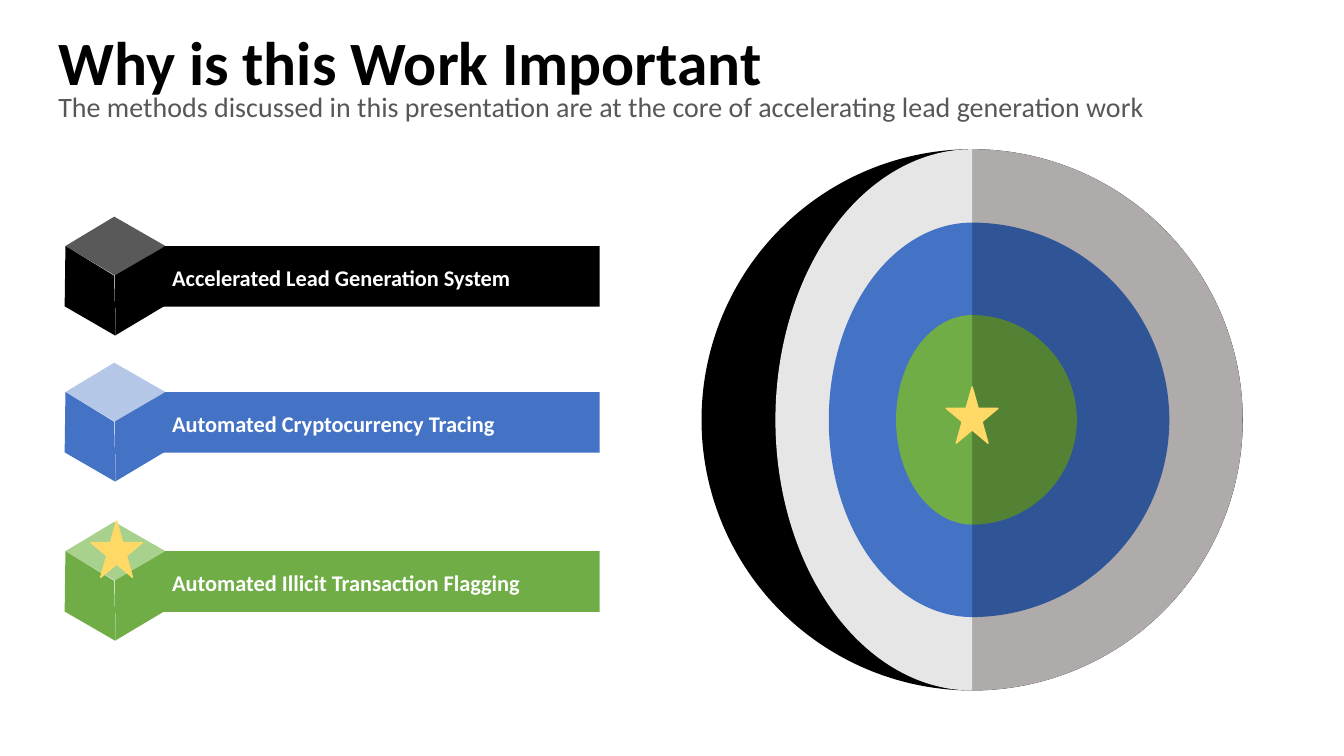
from dataclasses import dataclass

from lxml import etree
from pptx import Presentation
from pptx.dml import color
from pptx.enum import shapes, text
from pptx.oxml import ns
from pptx.util import Cm, Pt


@dataclass(frozen=True)
class Theme:
    font: str = "Calibri"
    title_size: int = 44
    subtitle_size: int = 20
    label_size: int = 16
    black: str = "000000"
    white: str = "FFFFFF"
    subtitle: str = "575757"
    charcoal: str = "595959"
    light_gray: str = "E7E6E6"
    gray: str = "AFABAB"
    blue: str = "4472C4"
    light_blue: str = "B4C7E7"
    dark_blue: str = "2F5597"
    green: str = "70AD47"
    light_green: str = "A9D18E"
    dark_green: str = "548235"
    gold: str = "FFD966"


THEME = Theme()

# Label, bar top in cm, colour of bar and cube sides, colour of cube top
LAYERS = [
    ("Accelerated Lead Generation System", 6.2, THEME.black, THEME.charcoal),
    ("Automated Cryptocurrency Tracing", 9.88, THEME.blue, THEME.light_blue),
    ("Automated Illicit Transaction Flagging", 13.89, THEME.green, THEME.light_green),
]
# Radius in cm, colour of the cut face (left), colour of the outer side (right)
RINGS = [
    (6.82, THEME.light_gray, THEME.gray),
    (4.97, THEME.blue, THEME.dark_blue),
    (2.64, THEME.green, THEME.dark_green),
]
GLOBE_X, GLOBE_Y = 24.5, 10.58
CUT_FACE_RATIO = 0.727
# Arc adjustments for straight down and straight up
DOWN, UP = 54, 162

CUBE_LEFT = 1.63
# Corners in cm from the cube's left edge and the bar's top
CUBE_TOP = [(0.02, 0), (1.25, -0.74), (2.54, 0), (1.28, 0.75)]
CUBE_RIGHT = [(1.27, 0.74), (1.28, 2.25), (2.52, 1.51), (2.54, 0)]
CUBE_LEFT_SIDE = [(0, 1.52), (0.02, 0), (1.25, 0.75), (1.28, 2.26)]


def paint(shape, fill, line=None):
    shape.shadow.inherit = False
    shape.fill.solid()
    shape.fill.fore_color.rgb = color.RGBColor.from_string(fill)
    if line:
        shape.line.color.rgb = color.RGBColor.from_string(line)
        shape.line.width = Pt(1)
    else:
        shape.line.fill.background()


def write(shape, words, *, size, ink, bold=False, spacing=0.9, inset=0.0,
          anchor=text.MSO_ANCHOR.TOP):
    frame = shape.text_frame
    frame.word_wrap = True
    frame.auto_size = text.MSO_AUTO_SIZE.NONE
    frame.vertical_anchor = anchor
    frame.margin_left = frame.margin_right = Cm(inset)
    frame.margin_top = frame.margin_bottom = Cm(inset)
    paragraph = frame.paragraphs[0]
    paragraph.alignment = text.PP_ALIGN.LEFT
    paragraph.line_spacing = spacing
    run = paragraph.add_run()
    run.text = words
    run.font.name = THEME.font
    run.font.size = Pt(size)
    run.font.bold = bold
    run.font.color.rgb = color.RGBColor.from_string(ink)
    return paragraph


def place(shape, left, top, width, height):
    shape.left, shape.top = Cm(left), Cm(top)
    shape.width, shape.height = Cm(width), Cm(height)


def remove_bullet(paragraph):
    properties = paragraph._p.get_or_add_pPr()
    properties.set("marL", "0")
    properties.set("indent", "0")
    etree.SubElement(properties, ns.qn("a:buNone"))


def add_headings(slide):
    title, subtitle = slide.shapes.title, slide.placeholders[1]
    place(title, 1.47, 0.81, 30.94, 1.3)
    write(title, "Why is this Work Important",
          size=THEME.title_size, ink=THEME.black, bold=True)
    place(subtitle, 1.47, 2.36, 30.94, 2.11)
    paragraph = write(
        subtitle,
        "The methods discussed in this presentation are at the core of "
        "accelerating lead generation work",
        size=THEME.subtitle_size, ink=THEME.subtitle)
    paragraph.space_before = Pt(10)
    remove_bullet(paragraph)


def add_preset(slide, kind, left, top, width, height, fill, line=None):
    shape = slide.shapes.add_shape(kind, Cm(left), Cm(top), Cm(width), Cm(height))
    paint(shape, fill, line)
    return shape


def add_bar(slide, label, top, fill):
    bar = add_preset(slide, shapes.MSO_SHAPE.RECTANGLE, 4.09, top, 11.02, 1.53, fill)
    write(bar, label, size=THEME.label_size, ink=THEME.white, bold=True,
          spacing=1.06, inset=0.25, anchor=text.MSO_ANCHOR.MIDDLE)


def add_cube(slide, top, side_fill, top_fill):
    faces = [(CUBE_TOP, top_fill), (CUBE_RIGHT, side_fill), (CUBE_LEFT_SIDE, side_fill)]
    for corners, fill in faces:
        points = [(Cm(CUBE_LEFT + x), Cm(top + y)) for x, y in corners]
        builder = slide.shapes.build_freeform(*points[0])
        builder.add_line_segments(points[1:], close=True)
        paint(builder.convert_to_shape(), fill)


def add_centred(slide, kind, x_radius, y_radius, fill):
    return add_preset(slide, kind, GLOBE_X - x_radius, GLOBE_Y - y_radius,
                      2 * x_radius, 2 * y_radius, fill)


def add_globe(slide):
    """Draw the ball with its layers, each a narrow left and a round right half."""
    outer_radius = RINGS[0][0]
    add_centred(slide, shapes.MSO_SHAPE.OVAL, outer_radius, outer_radius, THEME.black)
    for radius, face_fill, side_fill in RINGS:
        halves = [(radius, side_fill, UP, DOWN),
                  (radius * CUT_FACE_RATIO, face_fill, DOWN, UP)]
        for x_radius, fill, start, end in halves:
            half = add_centred(slide, shapes.MSO_SHAPE.ARC, x_radius, radius, fill)
            half.adjustments[0], half.adjustments[1] = start, end


def add_star(slide, left, top):
    add_preset(slide, shapes.MSO_SHAPE.STAR_5_POINT, left, top, 1.3, 1.42,
               THEME.gold, THEME.gold)


def main():
    presentation = Presentation()
    presentation.slide_width, presentation.slide_height = Cm(33.87), Cm(19.05)
    slide = presentation.slides.add_slide(presentation.slide_layouts[1])
    add_headings(slide)
    for label, top, fill, top_fill in LAYERS:
        add_bar(slide, label, top, fill)
        add_cube(slide, top, fill, top_fill)
    add_globe(slide)
    add_star(slide, 2.29, 13.13)
    add_star(slide, 23.85, 9.75)
    presentation.save("out.pptx")


if __name__ == "__main__":
    main()
